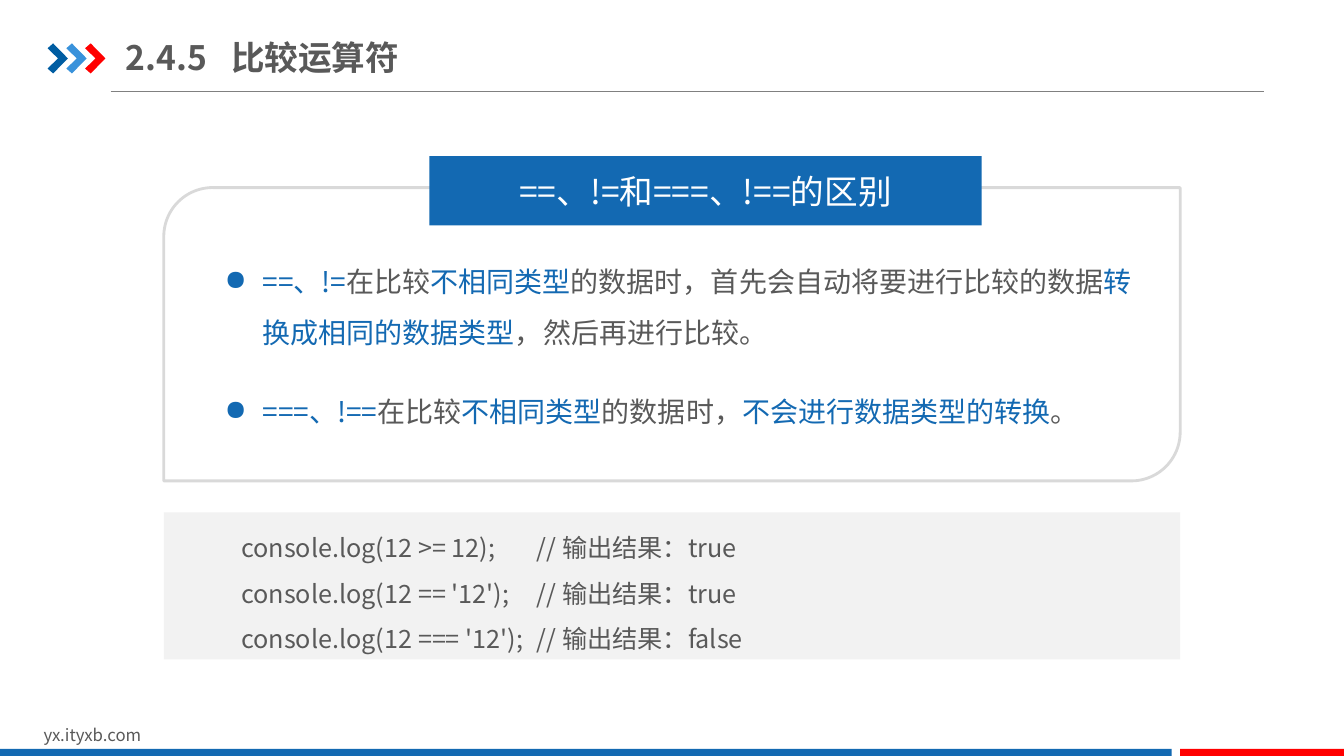
from lxml import etree
from pptx import Presentation
from pptx.dml.color import RGBColor
from pptx.enum.shapes import MSO_CONNECTOR, MSO_SHAPE
from pptx.enum.text import MSO_ANCHOR, MSO_AUTO_SIZE, PP_ALIGN
from pptx.oxml.ns import qn
from pptx.util import Pt

RECTANGLE = MSO_SHAPE.RECTANGLE
DIAGONAL_ROUND = MSO_SHAPE.ROUND_2_DIAG_RECTANGLE
STRAIGHT = MSO_CONNECTOR.STRAIGHT
TOP, MIDDLE = MSO_ANCHOR.TOP, MSO_ANCHOR.MIDDLE
LEFT, CENTER = PP_ALIGN.LEFT, PP_ALIGN.CENTER
NO_AUTOFIT = MSO_AUTO_SIZE.NONE
COLORS = {
    "blue": "1369B2", "navy": "005DA2", "sky": "3992DB", "red": "FF0000",
    "text": "595959", "rule": "808080", "frame": "D9D9D9",
    "panel": "F2F2F2", "white": "FFFFFF",
}


def color(name):
    """Return the named colour."""
    return RGBColor.from_string(COLORS[name])


class SlideBuilder:
    """Hold the text style and the current slide, and draw its elements."""

    font_name = "Noto Sans CJK SC"

    def __init__(self, page):
        self.page = page

    def shape(self, kind, left, top, width, height, fill=None, line=None):
        """Add a preset shape with an optional fill and outline."""
        shape = self.page.shapes.add_shape(
            kind, Pt(left), Pt(top), Pt(width), Pt(height))
        self.paint(shape, fill, line)
        return shape

    def paint(self, shape, fill=None, line=None):
        """Set fill and outline and drop the shadow."""
        shape.shadow.inherit = False
        if fill:
            shape.fill.solid()
            shape.fill.fore_color.rgb = color(fill)
        else:
            shape.fill.background()
        if line:
            shape.line.color.rgb = color(line)
            shape.line.width = Pt(2)
        else:
            shape.line.fill.background()

    def chevron(self, left, top, fill):
        """Add one arrow-like chevron."""
        points = [(0, 3.5), (4, 0), (14.5, 10.75), (4, 21.5), (0, 18), (7.5, 10.75)]
        corners = [(Pt(left + x), Pt(top + y)) for x, y in points]
        outline = self.page.shapes.build_freeform(*corners[0])
        outline.add_line_segments(corners[1:], close=True)
        self.paint(outline.convert_to_shape(), fill)

    def rule(self, left, top, right):
        """Add a thin horizontal line."""
        line = self.page.shapes.add_connector(
            STRAIGHT, Pt(left), Pt(top), Pt(right), Pt(top))
        line.line.color.rgb = color("rule")
        line.line.width = Pt(0.75)
        etree.SubElement(line._element.spPr, qn("a:effectLst"))

    def textbox(self, left, top, width, height):
        """Add an empty text box."""
        return self.page.shapes.add_textbox(
            Pt(left), Pt(top), Pt(width), Pt(height))

    def title(self, text, left, top, width, height):
        """Place and format the title placeholder."""
        title = self.page.shapes.title
        title.left, title.top = Pt(left), Pt(top)
        title.width, title.height = Pt(width), Pt(height)
        self.fill_text(title, [text], 24, anchor=MIDDLE, inset=0, tab=75, bold=True)

    def fill_text(self, box, lines, size, tone="text", align=LEFT, anchor=TOP,
                  inset=7.2, spacing=1, gap=0, bullet=False, tab=None, bold=False):
        """Fill a box with lines; each is a string or a list of (text, colour)."""
        frame = box.text_frame
        frame.word_wrap = True
        frame.auto_size = NO_AUTOFIT
        frame.vertical_anchor = anchor
        frame.margin_left = Pt(inset)
        frame.margin_right = Pt(min(inset, 7.2))
        for index, line in enumerate(lines):
            para = frame.add_paragraph() if index else frame.paragraphs[0]
            para.alignment = align
            para.line_spacing = spacing
            para.space_before = Pt(gap if index else 0)
            if bullet:
                self.add_bullet(para)
            if tab:
                stops = etree.SubElement(para._p.get_or_add_pPr(), qn("a:tabLst"))
                etree.SubElement(stops, qn("a:tab"), pos=str(Pt(tab)), algn="l")
            self.style(para, size, tone, bold)
            for text, span_tone in [(line, None)] if isinstance(line, str) else line:
                span = para.add_run()
                span.text = text
                if span_tone:
                    span.font.color.rgb = color(span_tone)

    def add_bullet(self, para):
        """Give a paragraph a blue dot and a hanging indent."""
        properties = para._p.get_or_add_pPr()
        properties.set("marL", str(Pt(27)))
        properties.set("indent", str(Pt(-27)))
        tint = etree.SubElement(properties, qn("a:buClr"))
        etree.SubElement(tint, qn("a:srgbClr"), val=COLORS["blue"])
        etree.SubElement(properties, qn("a:buChar"), char="●")

    def style(self, para, size, tone, bold):
        """Set the paragraph font, for East Asian text too."""
        para.font.size = Pt(size)
        para.font.bold = bold
        para.font.color.rgb = color(tone)
        para.font.name = self.font_name
        defaults = para._p.pPr.find(qn("a:defRPr"))
        etree.SubElement(defaults, qn("a:ea"), typeface=self.font_name)


def main():
    """Build the slide on comparison operators."""
    deck = Presentation()
    deck.slide_width, deck.slide_height = Pt(960), Pt(540)
    builder = SlideBuilder(deck.slides.add_slide(deck.slide_layouts[5]))

    builder.rule(79, 65.5, 903)
    for index, fill in enumerate(["navy", "sky", "red"]):
        builder.chevron(34 + 13.4 * index, 31, fill)
    builder.title("2.4.5\t比较运算符", 90, 21, 412.5, 39.5)

    builder.fill_text(builder.textbox(24, 514, 229, 21.8), ["yx.ityxb.com"], 12)
    builder.shape(RECTANGLE, 0, 535, 837, 5, "blue")
    builder.shape(RECTANGLE, 843, 535, 117, 5, "red")

    builder.shape(DIAGONAL_ROUND, 117, 134, 726, 209.5, line="frame")
    heading = builder.shape(RECTANGLE, 306.7, 111.5, 394.5, 49.5, "blue")
    builder.fill_text(heading, ["==、!=和===、!==的区别"], 24, "white", CENTER, MIDDLE)

    differences = [
        [("==、!=", "blue"), ("在比较", "text"), ("不相同类型", "blue"),
         ("的数据时，首先会自动将要进行比较的数据", "text"),
         ("转换成相同的数据类型", "blue"), ("，然后再进行比较。", "text")],
        [("===、!==", "blue"), ("在比较", "text"), ("不相同类型", "blue"),
         ("的数据时，", "text"), ("不会进行数据类型的转换", "blue"),
         ("。", "text")],
    ]
    builder.fill_text(builder.textbox(153.4, 173.5, 672.5, 138), differences, 20,
                      spacing=1.5, gap=21, bullet=True)

    code = [
        "console.log(12 >= 12);\t// 输出结果：true",
        "console.log(12 == '12');\t// 输出结果：true",
        "console.log(12 === '12');\t// 输出结果：false",
    ]
    panel = builder.shape(RECTANGLE, 117, 366, 726, 105, "panel")
    builder.fill_text(panel, code, 18, inset=55.4, spacing=1.5, tab=211)

    deck.save("out.pptx")


if __name__ == "__main__":
    main()
